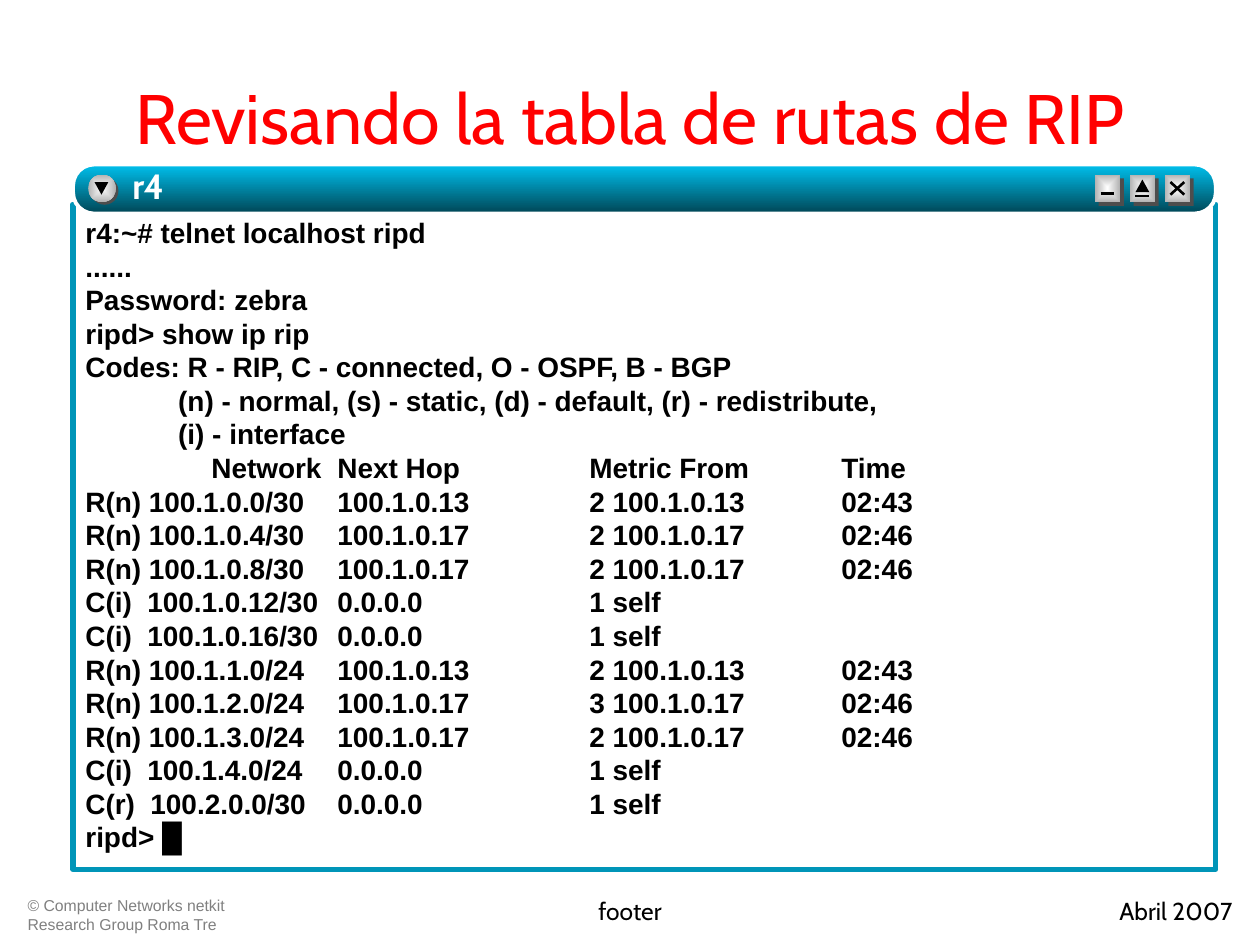
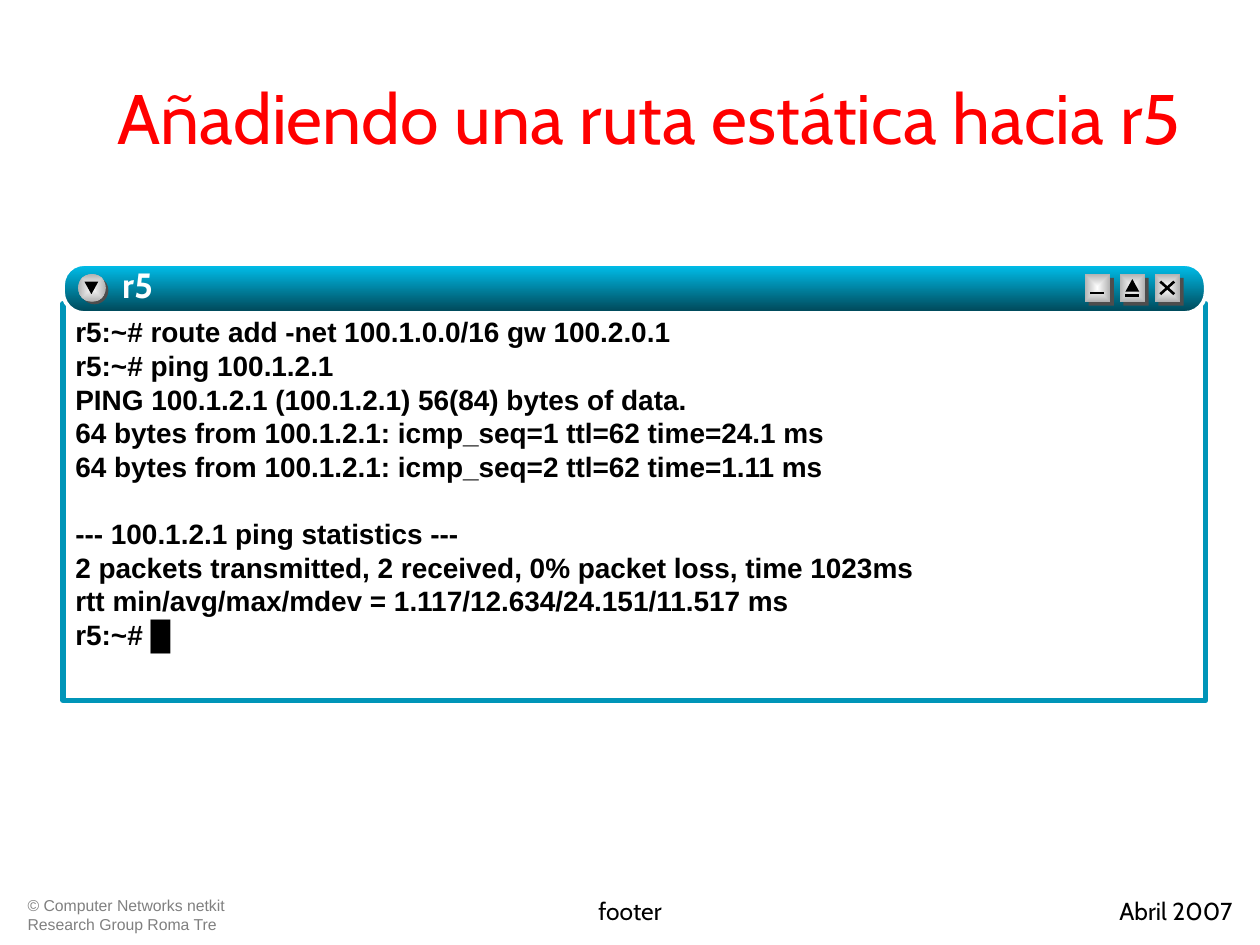
from dataclasses import dataclass

from lxml.etree import SubElement
from pptx import Presentation
from pptx.dml.color import RGBColor
from pptx.enum.shapes import MSO_CONNECTOR, MSO_SHAPE
from pptx.enum.text import MSO_ANCHOR, PP_ALIGN
from pptx.oxml import parse_xml
from pptx.oxml.ns import nsdecls, qn
from pptx.util import Inches, Pt


@dataclass(frozen=True)
class Theme:
    display_font: str = "Cabin"
    body_font: str = "Arial"
    title_size: float = 40
    window_size: float = 20
    terminal_size: float = 16
    footer_size: float = 14
    copyright_size: float = 9
    line_pitch: float = 1.2
    title: str = "FF0000"
    ink: str = "000000"
    paper: str = "FFFFFF"
    muted: str = "808080"
    frame: str = "0095B8"
    button_shadow: str = "4D4D4D"
    bar_gradient: tuple = ("00C1EE", "004555")
    button_gradient: tuple = ("FEFEFE", "B2B2B2")


class Deck:
    COLUMNS, ROWS = 100, 75

    def __init__(self, theme):
        self.theme = theme
        self.presentation = Presentation()
        self.presentation.slide_width = Inches(10)
        self.presentation.slide_height = Inches(7.5)
        self.slide = None

    def columns(self, count):
        return round(self.presentation.slide_width * count / self.COLUMNS)

    def rows(self, count):
        return round(self.presentation.slide_height * count / self.ROWS)

    def place(self, left, top, width, height):
        return self.columns(left), self.rows(top), self.columns(width), self.rows(height)

    def fill_text(self, text_frame, text, font, size, color, bold=False,
                  align=PP_ALIGN.LEFT, insets=(1, 0.5, 1, 0.5), pitch=None):
        text_frame.word_wrap = True
        text_frame.margin_left, text_frame.margin_right = map(self.columns, insets[::2])
        text_frame.margin_top, text_frame.margin_bottom = map(self.rows, insets[1::2])
        text_frame.text = text
        for paragraph in text_frame.paragraphs:
            paragraph.alignment = align
            if pitch:
                paragraph.line_spacing = Pt(size * pitch)
            for run in paragraph.runs:
                run.font.name, run.font.size, run.font.bold = font, Pt(size), bold
                run.font.color.rgb = RGBColor.from_string(color)

    def text(self, area, text, font, size, color, **options):
        box = self.slide.shapes.add_textbox(*self.place(*area))
        self.fill_text(box.text_frame, text, font, size, color, **options)
        return box

    def shape(self, shapes, kind, area, fill=None, line=None, line_width=0):
        shape = shapes.add_shape(kind, *self.place(*area))
        shape.shadow.inherit = False
        if fill:
            shape.fill.solid()
            shape.fill.fore_color.rgb = RGBColor.from_string(fill)
        if line:
            shape.line.color.rgb = RGBColor.from_string(line)
            shape.line.width = Pt(line_width)
        else:
            shape.line.fill.background()
        return shape

    def gradient(self, shape, colors, from_center=False):
        shape.fill.gradient()
        shape.fill.gradient_angle = 270
        for stop, color in zip(shape.fill.gradient_stops, colors):
            stop.color.rgb = RGBColor.from_string(color)
        if from_center:
            gradient = shape.element.spPr.find(qn("a:gradFill"))
            gradient.replace(gradient.find(qn("a:lin")), parse_xml(
                f'<a:path {nsdecls("a")} path="rect">'
                '<a:fillToRect l="50000" t="50000" r="50000" b="50000"/></a:path>'))

    def stroke(self, shapes, left, top, right, bottom):
        connector = shapes.add_connector(
            MSO_CONNECTOR.STRAIGHT, self.columns(left), self.rows(top),
            self.columns(right), self.rows(bottom))
        connector.line.color.rgb = RGBColor.from_string(self.theme.ink)
        connector.line.width = Pt(1.5)
        SubElement(connector._element.spPr, qn("a:effectLst"))

    def button(self, shapes, kind, left, top, width, shadow_offset):
        self.shape(shapes, kind, (left + shadow_offset, top + shadow_offset, width, 2.2),
                   self.theme.button_shadow)
        face = self.shape(shapes, kind, (left, top, width, 2.2))
        self.gradient(face, self.theme.button_gradient, from_center=True)

    def arrowhead(self, shapes, left, top):
        return self.shape(shapes, MSO_SHAPE.ISOSCELES_TRIANGLE, (left, top, 1.1, 1),
                          self.theme.ink)

    def menu_button(self, left, top):
        shapes = self.slide.shapes.add_group_shape().shapes
        self.button(shapes, MSO_SHAPE.OVAL, left, top, 2.2, 0.2)
        self.arrowhead(shapes, left + 0.5, top + 0.6).rotation = 180

    def window_buttons(self, left, top):
        shapes = self.slide.shapes.add_group_shape().shapes
        minimize, maximize, close = (left + 2.77 * index for index in range(3))
        for button_left in (minimize, maximize, close):
            self.button(shapes, MSO_SHAPE.RECTANGLE, button_left, top, 2, 0.3)
        self.stroke(shapes, minimize + 0.45, top + 1.5, minimize + 1.55, top + 1.5)
        self.stroke(shapes, maximize + 0.45, top + 1.7, maximize + 1.55, top + 1.7)
        self.arrowhead(shapes, maximize + 0.45, top + 0.4)
        self.stroke(shapes, close + 0.45, top + 1.6, close + 1.55, top + 0.6)
        self.stroke(shapes, close + 0.45, top + 0.6, close + 1.55, top + 1.6)

    def screen(self, left, top, width, height, blocks):
        theme = self.theme
        screen = self.shape(self.slide.shapes, MSO_SHAPE.RECTANGLE,
                            (left, top, width, height), theme.paper, theme.frame, 3)
        frame = screen.text_frame
        frame.vertical_anchor = MSO_ANCHOR.TOP
        self.fill_text(frame, "\n".join(blocks), theme.body_font, theme.terminal_size,
                       theme.ink, bold=True, insets=(1, 0.9, 1, 0.5), pitch=theme.line_pitch)
        for paragraph in frame.paragraphs:
            tabs = SubElement(paragraph._p.get_or_add_pPr(), qn("a:tabLst"))
            for inch in range(1, 8):
                SubElement(tabs, qn("a:tab"), pos=str(Inches(inch)), algn="l")
        block_start = 0
        for block in blocks[:-1]:
            block_start += len(block.splitlines())
            frame.paragraphs[block_start].space_before = Pt(theme.terminal_size * theme.line_pitch)

    def terminal(self, host, left, top, height, blocks):
        theme, width = self.theme, 90.7
        self.screen(left, top, width, height, blocks)
        bar_top = top - 3.15
        bar = self.shape(self.slide.shapes, MSO_SHAPE.ROUNDED_RECTANGLE,
                         (left, bar_top, width, 3.9), line=theme.paper, line_width=2.25)
        bar.adjustments[0] = 0.43
        self.gradient(bar, theme.bar_gradient)
        self.menu_button(left + 1.2, bar_top + 0.8)
        self.window_buttons(left + 81.1, bar_top + 0.8)
        label = self.text((left + 4.7, bar_top, 26, 3.9), host, theme.display_font,
                          theme.window_size, theme.paper, bold=True, insets=(0, 0, 0, 0))
        properties = label.text_frame.paragraphs[0].runs[0]._r.get_or_add_rPr()
        properties.find(qn("a:solidFill")).addnext(parse_xml(
            f'<a:effectLst {nsdecls("a")}><a:outerShdw dist="25400" dir="2700000">'
            f'<a:srgbClr val="{theme.ink}"/></a:outerShdw></a:effectLst>'))

    def footers(self):
        theme = self.theme
        self.text((1.2, 70.6, 18.9, 3.6),
                  "© Computer Networks netkit\nResearch Group Roma Tre",
                  theme.body_font, theme.copyright_size, theme.muted, pitch=theme.line_pitch)
        for area, text, align in (
            ((25.6, 70.6, 48.8, 3.6), "footer", PP_ALIGN.CENTER),
            ((76, 70.6, 22.8, 3.6), "Abril 2007", PP_ALIGN.RIGHT),
        ):
            self.text(area, text, theme.display_font, theme.footer_size, theme.ink, align=align)

    def add_slide(self, title, title_width):
        theme = self.theme
        self.slide = self.presentation.slides.add_slide(self.presentation.slide_layouts[5])
        heading = self.slide.shapes.title
        heading.left, heading.top, heading.width, heading.height = self.place(
            5, 3, title_width, 12.5)
        heading.text_frame.vertical_anchor = MSO_ANCHOR.MIDDLE
        self.fill_text(heading.text_frame, title, theme.display_font, theme.title_size,
                       theme.title, align=PP_ALIGN.CENTER)
        self.footers()


RIP_SESSION = """r4:~# telnet localhost ripd
......
Password: zebra
ripd> show ip rip
Codes: R - RIP, C - connected, O - OSPF, B - BGP
            (n) - normal, (s) - static, (d) - default, (r) - redistribute,
            (i) - interface
\tNetwork \tNext Hop \tMetric From \tTime
R(n) 100.1.0.0/30 \t100.1.0.13 \t2 100.1.0.13 \t02:43
R(n) 100.1.0.4/30 \t100.1.0.17 \t2 100.1.0.17 \t02:46
R(n) 100.1.0.8/30 \t100.1.0.17 \t2 100.1.0.17 \t02:46
C(i)  100.1.0.12/30 \t0.0.0.0 \t\t1 self
C(i)  100.1.0.16/30 \t0.0.0.0 \t\t1 self
R(n) 100.1.1.0/24 \t100.1.0.13 \t2 100.1.0.13 \t02:43
R(n) 100.1.2.0/24 \t100.1.0.17 \t3 100.1.0.17 \t02:46
R(n) 100.1.3.0/24 \t100.1.0.17 \t2 100.1.0.17 \t02:46
C(i)  100.1.4.0/24 \t0.0.0.0 \t\t1 self
C(r)  100.2.0.0/30 \t0.0.0.0 \t\t1 self
ripd> █"""

PING_COMMANDS = """r5:~# route add -net 100.1.0.0/16 gw 100.2.0.1
r5:~# ping 100.1.2.1
PING 100.1.2.1 (100.1.2.1) 56(84) bytes of data.
64 bytes from 100.1.2.1: icmp_seq=1 ttl=62 time=24.1 ms
64 bytes from 100.1.2.1: icmp_seq=2 ttl=62 time=1.11 ms"""

PING_STATISTICS = """--- 100.1.2.1 ping statistics ---
2 packets transmitted, 2 received, 0% packet loss, time 1023ms
rtt min/avg/max/mdev = 1.117/12.634/24.151/11.517 ms
r5:~# █"""


def main():
    deck = Deck(Theme())
    deck.add_slide("Revisando la tabla de rutas de RIP", 90)
    deck.terminal("r4", 5.8, 16.2, 52.8, [RIP_SESSION])
    deck.add_slide("Añadiendo una ruta estática hacia r5", 93)
    deck.terminal("r5", 5, 24.1, 31.5, [PING_COMMANDS, PING_STATISTICS])
    deck.presentation.save("out.pptx")


if __name__ == "__main__":
    main()
